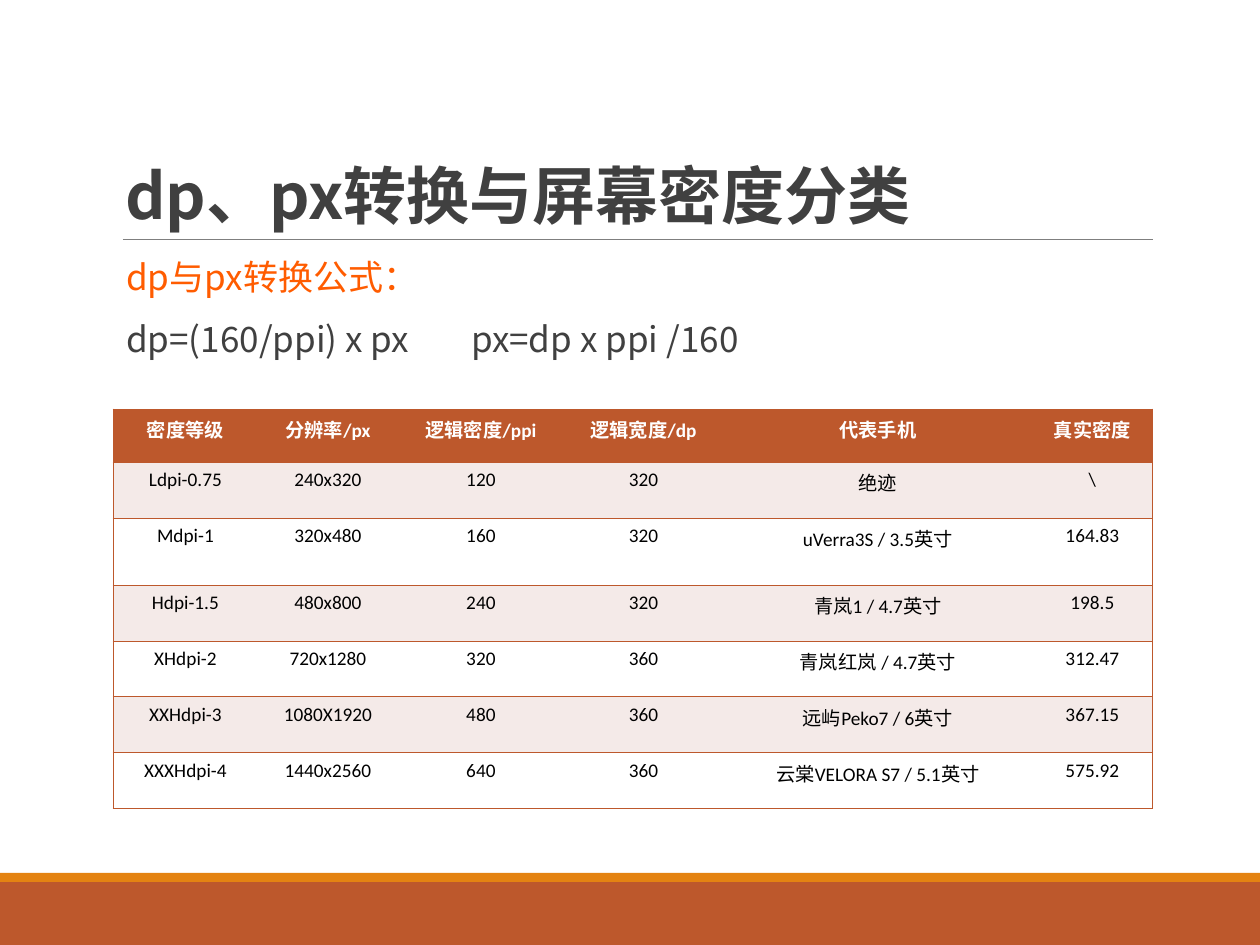
from lxml.etree import SubElement
from pptx import Presentation
from pptx.dml.color import RGBColor
from pptx.enum.shapes import MSO_CONNECTOR, MSO_SHAPE
from pptx.enum.text import MSO_ANCHOR, PP_ALIGN
from pptx.oxml.ns import qn
from pptx.util import Pt

PX = 914400 // 126
RUST = RGBColor(0xBD, 0x58, 0x2C)
AMBER = RGBColor(0xE4, 0x83, 0x12)
ORANGE = RGBColor(0xFF, 0x5C, 0x00)
CHARCOAL = RGBColor(0x40, 0x40, 0x40)
GRAY = RGBColor(0x7F, 0x7F, 0x7F)
BLUSH = RGBColor(0xF4, 0xEA, 0xE8)
WHITE = RGBColor(0xFF, 0xFF, 0xFF)
BLACK = RGBColor(0x00, 0x00, 0x00)
CJK_FONT = "Noto Sans CJK SC"


def add_run(paragraph, text, size, color, bold=False, latin=CJK_FONT):
    run = paragraph.add_run()
    run.text = text
    run.font.size = Pt(size)
    run.font.bold = bold
    run.font.color.rgb = color
    run.font.name = latin
    SubElement(run.font._element, qn("a:ea"), typeface=CJK_FONT)


def add_border(cell, side, color):
    line = SubElement(cell._tc.get_or_add_tcPr(), qn(f"a:ln{side}"), w=str(Pt(0.45)))
    if color is None:
        SubElement(line, qn("a:noFill"))
    else:
        fill = SubElement(line, qn("a:solidFill"))
        SubElement(fill, qn("a:srgbClr"), val=str(color))


prs = Presentation()
prs.slide_width = 1260 * PX
prs.slide_height = 945 * PX
slide = prs.slides.add_slide(prs.slide_layouts[6])

# Footer bands
for top, height, color in [(882, 63, RUST), (873, 9, AMBER)]:
    band = slide.shapes.add_shape(MSO_SHAPE.RECTANGLE, 0, top * PX, 1260 * PX, height * PX)
    band.shadow.inherit = False
    band.fill.solid()
    band.fill.fore_color.rgb = color
    band.line.fill.background()

# Rule under the title
rule = slide.shapes.add_connector(
    MSO_CONNECTOR.STRAIGHT, 123 * PX, 239 * PX, 1153 * PX, 239 * PX)
rule.line.color.rgb = GRAY
rule.line.width = Pt(0.5)
SubElement(rule._element.spPr, qn("a:effectLst"))

# Title
title = slide.shapes.add_textbox(113 * PX, 39 * PX, 1040 * PX, 200 * PX).text_frame
title.word_wrap = True
title.vertical_anchor = MSO_ANCHOR.BOTTOM
title.paragraphs[0].line_spacing = 0.85
add_run(title.paragraphs[0], "dp、px转换与屏幕密度分类", 36, CHARCOAL, bold=True)

# Conversion formulas
formulas = slide.shapes.add_textbox(113 * PX, 254 * PX, 1040 * PX, 140 * PX).text_frame
formulas.word_wrap = True
formulas.margin_left = 13 * PX
formulas.margin_right = 0
heading = formulas.paragraphs[0]
equations = formulas.add_paragraph()
equations.space_before = Pt(12)
for paragraph in (heading, equations):
    paragraph.line_spacing = 0.9
    paragraph.space_after = Pt(2)
tabs = SubElement(equations._p.get_or_add_pPr(), qn("a:tabLst"))
SubElement(tabs, qn("a:tab"), pos=str(345 * PX), algn="l")
add_run(heading, "dp与px转换公式：", 20, ORANGE)
add_run(equations, "dp=(160/ppi) x px\tpx=dp x ppi /160", 20, CHARCOAL)

# Density table
densities = [
    ("密度等级", "分辨率/px", "逻辑密度/ppi", "逻辑宽度/dp", "代表手机", "真实密度"),
    ("Ldpi-0.75", "240x320", "120", "320", "绝迹", "\\"),
    ("Mdpi-1", "320x480", "160", "320", "uVerra3S / 3.5英寸", "164.83"),
    ("Hdpi-1.5", "480x800", "240", "320", "青岚1 / 4.7英寸", "198.5"),
    ("XHdpi-2", "720x1280", "320", "360", "青岚红岚 / 4.7英寸", "312.47"),
    ("XXHdpi-3", "1080X1920", "480", "360", "远屿Peko7 / 6英寸", "367.15"),
    ("XXXHdpi-4", "1440x2560", "640", "360", "云棠VELORA S7 / 5.1英寸", "575.92"),
]
column_widths = [145, 140, 166, 159, 310, 119]
row_heights = [53, 56, 67, 56, 56, 56, 56]
table = slide.shapes.add_table(
    len(row_heights), len(column_widths), 113 * PX, 409 * PX,
    sum(column_widths) * PX, sum(row_heights) * PX).table
table.horz_banding = False
for column, width in zip(table.columns, column_widths):
    column.width = width * PX
for row, height in zip(table.rows, row_heights):
    row.height = height * PX

last_column = len(column_widths) - 1
for r, values in enumerate(densities):
    is_header = r == 0
    row_fill = RUST if is_header else BLUSH if r % 2 else WHITE
    for c, value in enumerate(values):
        cell = table.cell(r, c)
        add_border(cell, "L", RUST if c == 0 else None)
        add_border(cell, "R", RUST if c == last_column else None)
        add_border(cell, "T", RUST)
        add_border(cell, "B", RUST)
        cell.fill.solid()
        cell.fill.fore_color.rgb = row_fill
        paragraph = cell.text_frame.paragraphs[0]
        paragraph.alignment = PP_ALIGN.CENTER
        add_run(paragraph, value, 11, WHITE if is_header else BLACK,
                bold=is_header, latin="Calibri")

prs.save("out.pptx")
